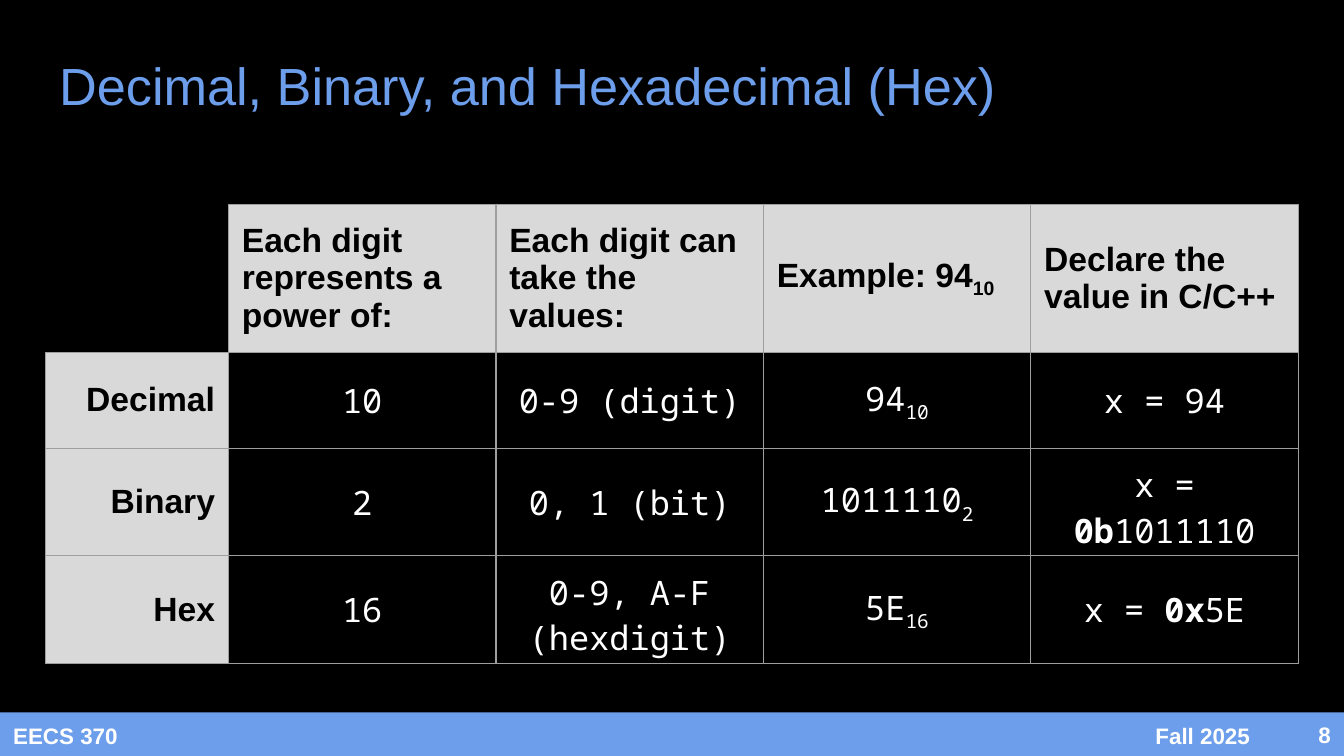
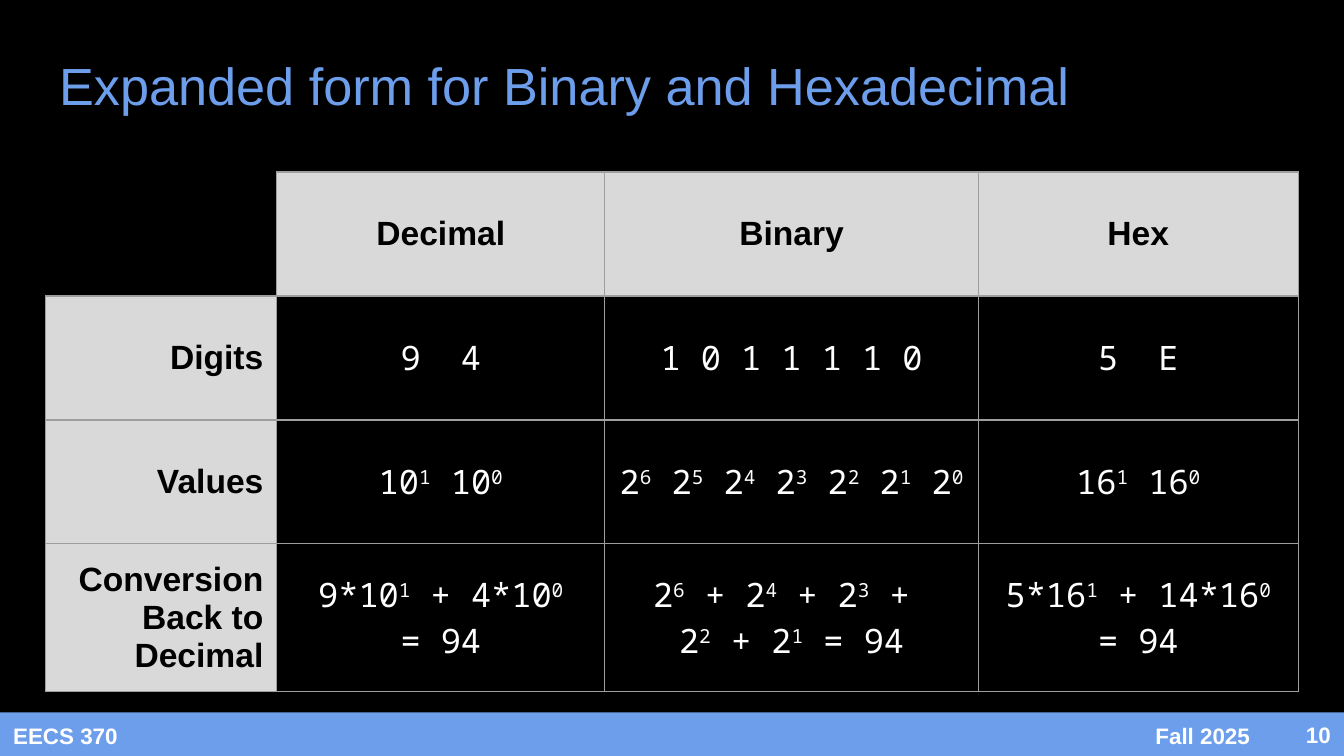
from lxml.etree import SubElement as Sub
from pptx import Presentation
from pptx.dml.color import RGBColor as RGB
from pptx.enum.shapes import MSO_SHAPE as Shape
from pptx.enum.text import MSO_ANCHOR as Anchor, MSO_AUTO_SIZE as Auto, PP_ALIGN as Align
from pptx.oxml.ns import qn
from pptx.util import Inches, Pt

WIDE, HIGH = Inches(10), Inches(5.625)
COLORS = {"back": "000000", "accent": "6D9EEB", "light": "FFFFFF",
          "dark": "000000", "head": "D9D9D9", "rule": "9E9E9E"}
FORMATS = {
    "title": {"name": "Arial", "size": Pt(28), "bold": False, "color": "accent"},
    "foot": {"name": "Arial", "size": Pt(12), "bold": True, "color": "light"},
    "head": {"name": "Arial", "size": Pt(18), "bold": True, "color": "dark"},
    "body": {"name": "Noto Sans Mono", "size": Pt(18), "bold": False, "color": "light"},
}
SHIFTS = {"_": "-25000", "^": "30000"}
INSETS = ("margin_left", "margin_top", "margin_right", "margin_bottom")
BAND = (0, 94.22, 100, 6.04)
TITLE = (3.4, 0, 81, 22.4)
SIDE, SPAN = 3.4, 93.2

# Cell text: "|" parts the runs; a run starting with _ is lowered,
# with ^ raised, with ! bold.
BASES = [
    ["", "Each digit represents a power of:", "Each digit can take the values:",
     "Example: 94|_10", "Declare the value in C/C++"],
    ["Decimal", "10", "0-9 (digit)", "94|_10", "x = 94"],
    ["Binary", "2", "0, 1 (bit)", "1011110|_2", "x = |!0b|1011110"],
    ["Hex", "16", "0-9, A-F (hexdigit)", "5E|_16", "x = |!0x|5E"],
]
EXPANDED = [
    ["", "Decimal", "Binary", "Hex"],
    ["Digits", "9  4", "1 0 1 1 1 1 0", "5  E"],
    ["Values", "10|^1| 10|^0", "|".join(f"{' 2' if n < 6 else '2'}|^{n}" for n in range(6, -1, -1)),
     "16|^1| 16|^0"],
    ["Conversion\nBack to Decimal", "9*10|^1| + 4*10|^0\n= 94",
     "2|^6| + 2|^4| + 2|^3| + \n2|^2| + 2|^1| = 94",
     "5*16|^1| + 14*16|^0\n= 94"],
]


def across(share):
    return round(WIDE * share / 100)


def down(share):
    return round(HIGH * share / 100)


def place(box):
    """Turn shares of the slide, in percent, into lengths."""
    x, y, w, h = box
    return across(x), down(y), across(w), down(h)


def style(font, look):
    for key, value in FORMATS[look].items():
        if key == "color":
            font.color.rgb = RGB.from_string(COLORS[value])
        else:
            setattr(font, key, value)


def write(frame, text, look, align):
    para = frame.paragraphs[0]
    para.alignment = align
    for i, line in enumerate(text.split("\n")):
        if i:
            para.add_line_break()
        for part in filter(None, line.split("|")):
            mark = part[0] if part[0] in "_^!" else ""
            run = para.add_run()
            run.text = part[len(mark):]
            style(run.font, look)
            if mark == "!":
                run.font.bold = True
            elif mark:
                run.font._element.set("baseline", SHIFTS[mark])


def inset(item):
    """Give a text frame or a cell equal margins and middle anchoring."""
    item.vertical_anchor = Anchor.MIDDLE
    for side in INSETS:
        setattr(item, side, Inches(0.1))


def label(slide, text, box, align=Align.LEFT):
    frame = slide.shapes.add_textbox(*place(box)).text_frame
    frame.word_wrap = True
    inset(frame)
    write(frame, text, "foot", align)


def footer(slide, box, number):
    x, y, w, h = box
    band = slide.shapes.add_shape(Shape.RECTANGLE, *place(box))
    band.shadow.inherit = False
    band.fill.solid()
    band.fill.fore_color.rgb = RGB.from_string(COLORS["accent"])
    band.line.fill.background()
    label(slide, "EECS 370", (x, y, w * 0.18, h))
    label(slide, "Fall 2025", (x + w * 0.76, y, w * 0.18, h), Align.RIGHT)
    label(slide, str(number), (x + w * 0.94, y, w * 0.06, h * 0.97), Align.RIGHT)


def heading(slide, text, box):
    title = slide.shapes.title
    title.left, title.top, title.width, title.height = place(box)
    frame = title.text_frame
    frame.word_wrap, frame.auto_size = True, Auto.NONE
    inset(frame)
    write(frame, text, "title", Align.LEFT)


def border(cell, sides):
    props = cell._tc.get_or_add_tcPr()
    for side in "LRTB":
        line = Sub(props, qn(f"a:ln{side}"), w=str(Pt(0.75)))
        if side in sides:
            fill = Sub(line, qn("a:solidFill"))
            Sub(fill, qn("a:srgbClr"), val=COLORS["rule"])
        else:
            Sub(line, qn("a:noFill"))


def grid(slide, top, cols, rows, data, align):
    """Place a table with a header row and column; align is the header row's."""
    box = (SIDE, top, SPAN, sum(rows))
    table = slide.shapes.add_table(len(rows), len(cols), *place(box)).table
    table.first_row = table.horz_banding = False
    for col, share in zip(table.columns, cols):
        col.width = across(share)
    for row, share in zip(table.rows, rows):
        row.height = down(share)
    for r, texts in enumerate(data):
        for c, text in enumerate(texts):
            cell = table.cell(r, c)
            inset(cell)
            border(cell, "LRTB" if r or c else "RB")
            head = bool(text) and (r == 0 or c == 0)
            if head:
                cell.fill.solid()
                cell.fill.fore_color.rgb = RGB.from_string(COLORS["head"])
            else:
                cell.fill.background()
            side = align if r == 0 else Align.CENTER if c else Align.RIGHT
            write(cell.text_frame, text, "head" if head else "body", side)


def page(deck, title, number, *table):
    slide = deck.slides.add_slide(deck.slide_layouts.get_by_name("Title Only"))
    footer(slide, BAND, number)
    heading(slide, title, TITLE)
    grid(slide, *table)


def main():
    deck = Presentation()
    deck.slide_width, deck.slide_height = WIDE, HIGH
    back = deck.slide_master.background.fill
    back.solid()
    back.fore_color.rgb = RGB.from_string(COLORS["back"])
    page(deck, "Decimal, Binary, and Hexadecimal (Hex)", 8,
         27.02, [13.6] + [19.9] * 4, [18.67] + [12.72] * 3, BASES, Align.LEFT)
    page(deck, "Expanded form for Binary and Hexadecimal", 10,
         22.75, [17.2, 24.4, 27.8, 23.8], [16.4] * 4, EXPANDED, Align.CENTER)
    deck.save("out.pptx")


if __name__ == "__main__":
    main()
